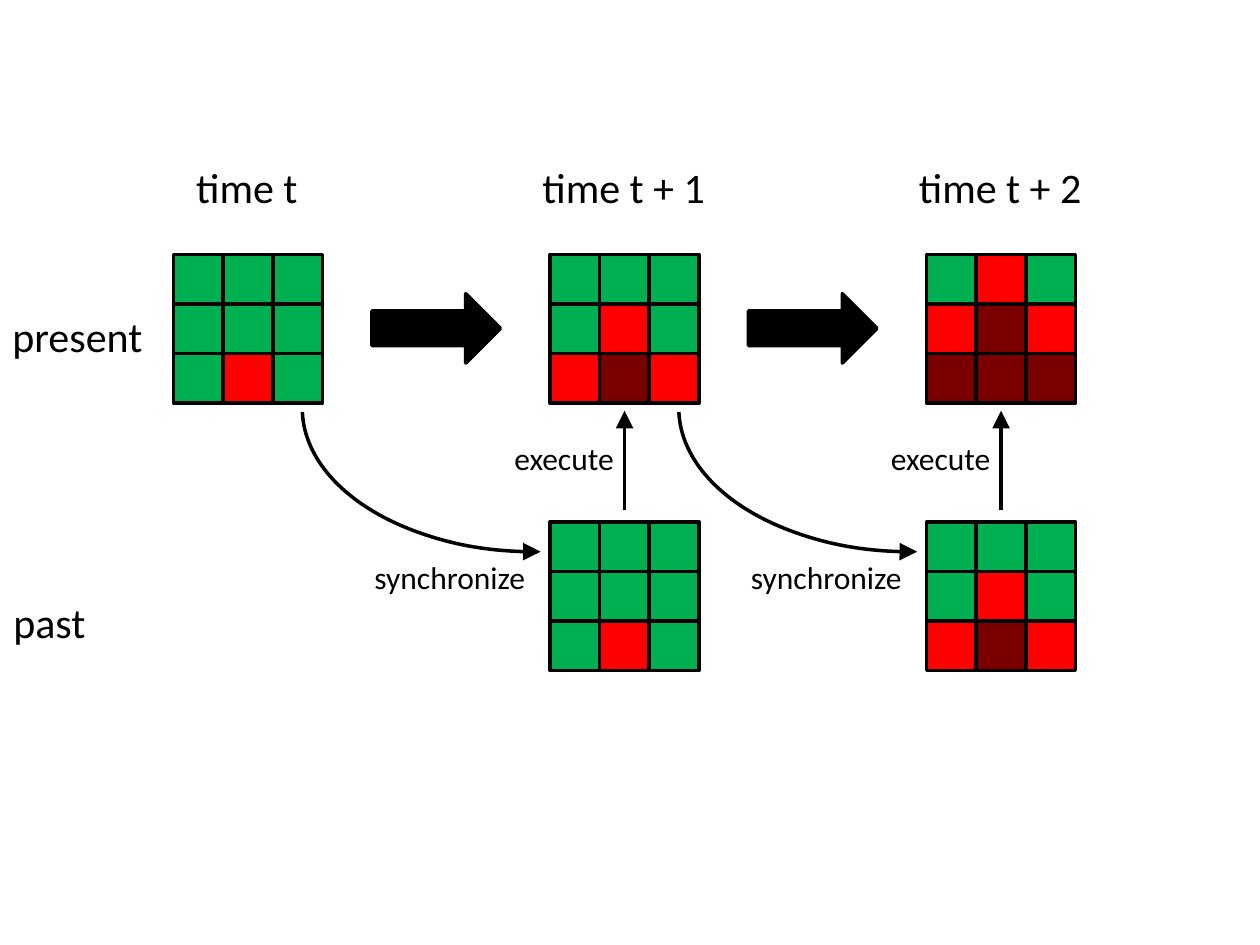
from pptx import Presentation
from pptx.dml.color import RGBColor
from pptx.enum.shapes import MSO_CONNECTOR, MSO_SHAPE
from pptx.enum.text import MSO_AUTO_SIZE
from pptx.oxml.ns import qn
from pptx.oxml.xmlchemy import OxmlElement
from pptx.util import Cm, Pt

RECTANGLE = MSO_SHAPE.RECTANGLE
RIGHT_ARROW = MSO_SHAPE.RIGHT_ARROW
ARC = MSO_SHAPE.ARC
STRAIGHT = MSO_CONNECTOR.STRAIGHT
FIT_SHAPE = MSO_AUTO_SIZE.SHAPE_TO_FIT_TEXT

BLACK = RGBColor(0x00, 0x00, 0x00)
GREEN = RGBColor(0x00, 0xB0, 0x50)
RED = RGBColor(0xFF, 0x00, 0x00)
DARK_RED = RGBColor(0x7A, 0x00, 0x00)

# Content: cell colours of the present grid at each time
CELL_COLORS = {"G": GREEN, "R": RED, "D": DARK_RED}
STATES = [
    ("GGG", "GGG", "GRG"),
    ("GGG", "GRG", "RDR"),
    ("GRG", "RDR", "DDD"),
]
TIMES = [("time t", 2.59), ("time t + 1", 3.81), ("time t + 2", 3.81)]
ROW_LABELS = [("present", 0, 6.13, 3.18), ("past", 0.02, 11.9, 1.98)]

# Layout in centimetres
CELL = 1
GRID_LEFT = 3.5
STEP = 7.59
PRESENT_TOP = 5.13
PAST_TOP = 10.52

presentation = Presentation()
presentation.slide_width = Cm(25.4)
presentation.slide_height = Cm(19.05)
slide = presentation.slides.add_slide(presentation.slide_layouts[6])


def add_text(text, left, top, width, height=1.27, size=24, color=BLACK, font="Calibri"):
    box = slide.shapes.add_textbox(Cm(left), Cm(top), Cm(width), Cm(height))
    frame = box.text_frame
    frame.word_wrap = False
    frame.auto_size = FIT_SHAPE
    run = frame.paragraphs[0].add_run()
    run.text = text
    run.font.size = Pt(size)
    run.font.name = font
    run.font.color.rgb = color


def set_outline(line):
    line.color.rgb = BLACK
    line.width = Pt(2)


def add_shape(kind, left, top, width, height, fill=None):
    shape = slide.shapes.add_shape(kind, Cm(left), Cm(top), Cm(width), Cm(height))
    shape.shadow.inherit = False
    if fill is None:
        shape.fill.background()
    else:
        shape.fill.solid()
        shape.fill.fore_color.rgb = fill
    set_outline(shape.line)
    return shape


def add_arrowhead(shape):
    tail = OxmlElement("a:tailEnd")
    tail.set("type", "triangle")
    tail.set("w", "lg")
    tail.set("len", "lg")
    shape.element.spPr.find(qn("a:ln")).append(tail)


def add_grid(state, left, top):
    for row, cells in enumerate(state):
        for column, cell in enumerate(cells):
            add_shape(RECTANGLE, left + column * CELL, top + row * CELL,
                      CELL, CELL, CELL_COLORS[cell])


def add_transition(offset):
    add_shape(RIGHT_ARROW, 7.5 + offset, 5.92, 2.59, 1.4, BLACK)

    # Synchronize: quarter arc from the present grid to the next past grid
    arc = add_shape(ARC, 7.9 + offset, 3.53, 5.79, 9.4)
    arc.adjustments[0] = 162.57
    arc.adjustments[1] = 1.25
    arc.rotation = 270
    arc.element.spPr.find(qn("a:xfrm")).set("flipH", "1")
    add_arrowhead(arc)
    add_text("synchronize", 7.3 + offset, 11.13, 3.58, 1.02, size=18)

    # Execute: upward arrow from past to present
    middle = Cm(12.59 + offset)
    connector = slide.shapes.add_connector(STRAIGHT, middle, Cm(10.29), middle, Cm(8.28))
    set_outline(connector.line)
    add_arrowhead(connector)
    connector.element.spPr.append(OxmlElement("a:effectLst"))
    add_text("execute", 10.12 + offset, 8.73, 2.54, 1.02, size=18)


# Grids with their time headings; the past holds the previous state
for index, (state, (heading, width)) in enumerate(zip(STATES, TIMES)):
    left = GRID_LEFT + index * STEP
    add_grid(state, left, PRESENT_TOP)
    if index > 0:
        add_grid(STATES[index - 1], left, PAST_TOP)
    add_text(heading, left + (3 * CELL - width) / 2, 3.13, width)

# Row labels
for label, left, top, width in ROW_LABELS:
    add_text(label, left, top, width)

# Arrows between consecutive times
for index in range(len(STATES) - 1):
    add_transition(index * STEP)

presentation.save("out.pptx")
